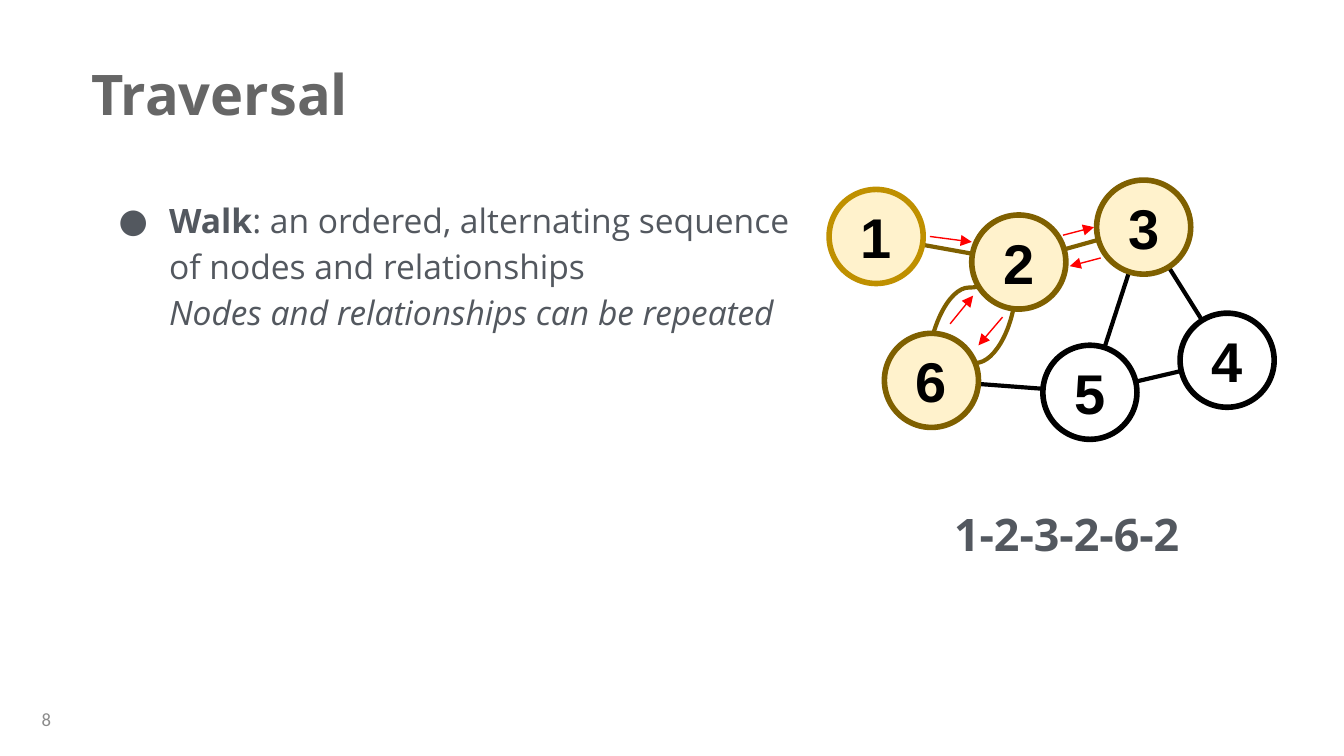
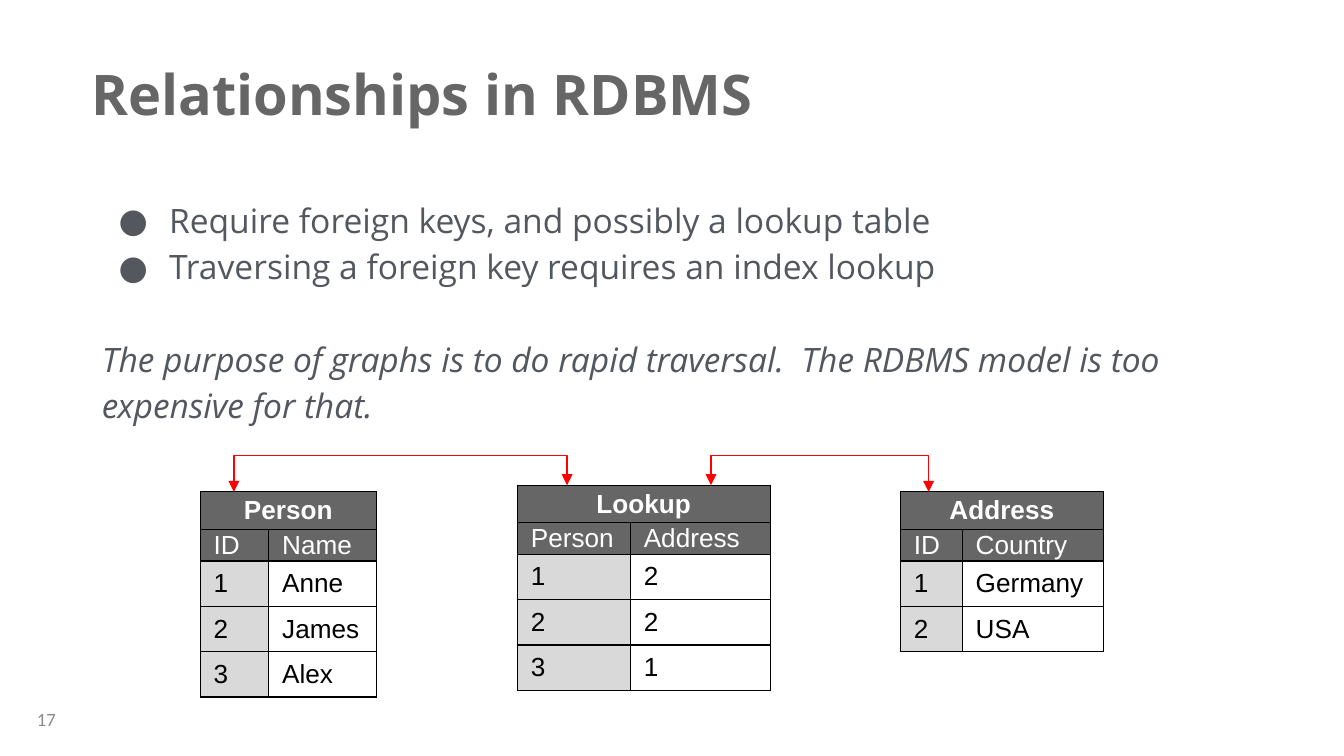
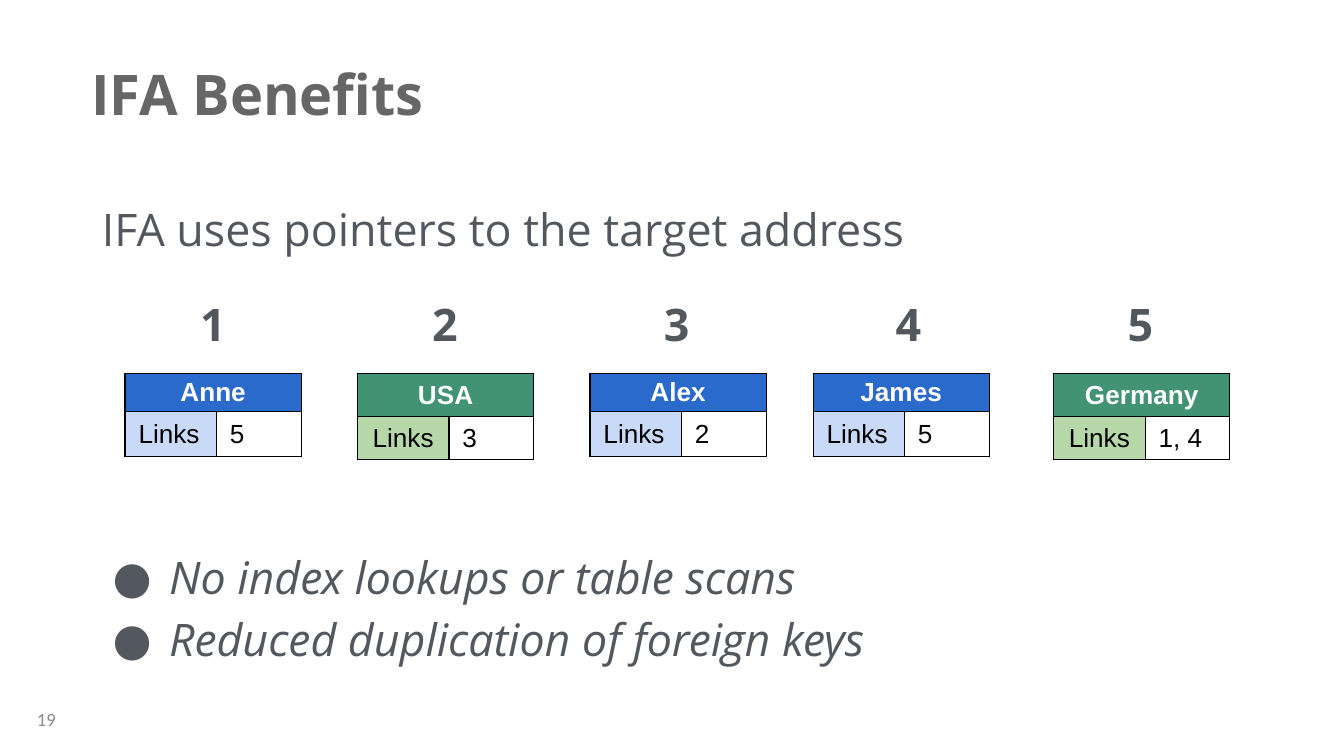
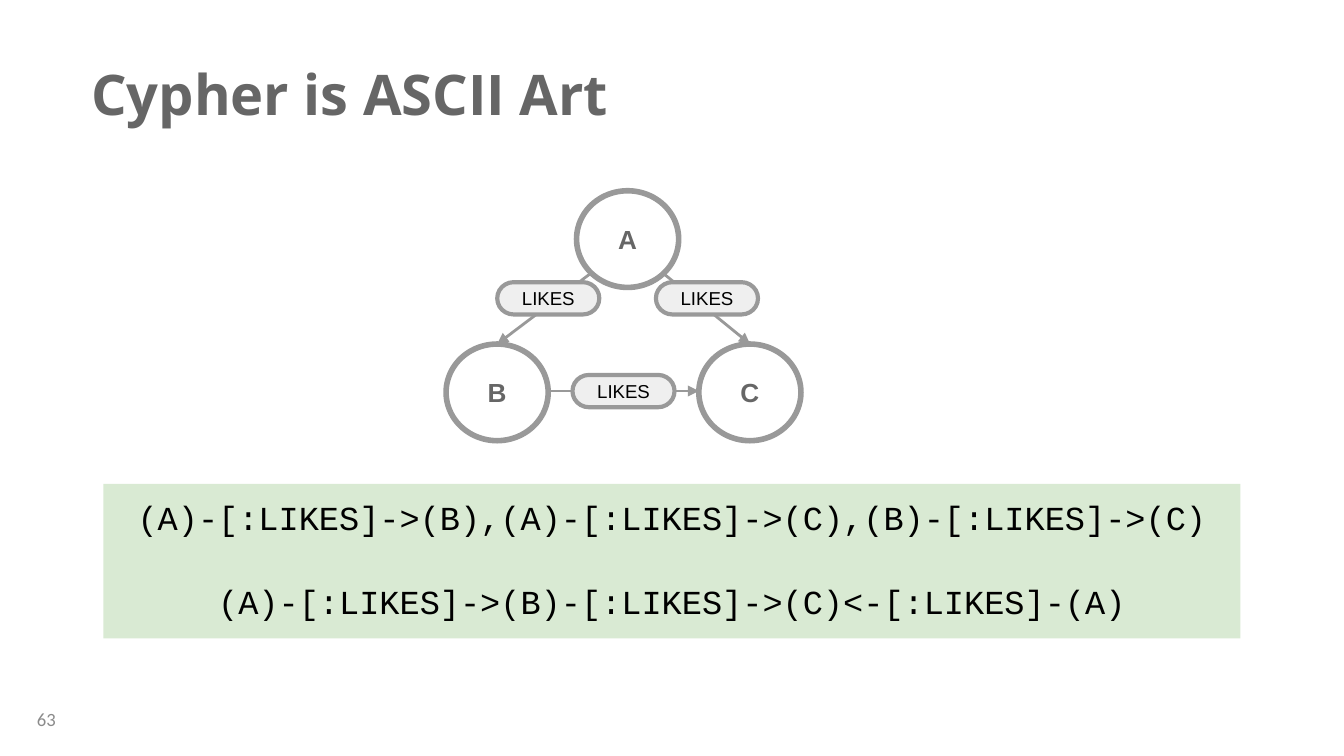
"""Builds four slides on graph traversal, relational lookups, index-free adjacency and Cypher."""
from pptx import Presentation, util as u
from pptx.dml.color import RGBColor
from pptx.enum import shapes, text
from pptx.oxml import ns, xmlchemy

WHITE = RGBColor(0xFF, 0xFF, 0xFF)
BLACK = RGBColor(0, 0, 0)
RED = RGBColor(0xFF, 0, 0)
TITLE_GRAY = RGBColor(0x66, 0x66, 0x66)
BODY_GRAY = RGBColor(0x53, 0x58, 0x5F)
PAGE_GRAY = RGBColor(0x8B, 0x8B, 0x8B)
LINE_GRAY = RGBColor(0x99, 0x99, 0x99)
KEY_GRAY = RGBColor(0xD9, 0xD9, 0xD9)
PILL_GRAY = RGBColor(0xEF, 0xEF, 0xEF)
CREAM = RGBColor(0xFF, 0xF2, 0xCC)
GOLD = RGBColor(0xBF, 0x90, 0x00)
BROWN = RGBColor(0x7F, 0x60, 0x00)
BLUE = RGBColor(0x2A, 0x6A, 0xCB)
PALE_BLUE = RGBColor(0xC9, 0xDA, 0xF8)
GREEN = RGBColor(0x41, 0x93, 0x74)
PALE_GREEN = RGBColor(0xB6, 0xD7, 0xA8)
CODE_GREEN = RGBColor(0xD9, 0xEA, 0xD3)

CENTER, LEFT = text.PP_ALIGN.CENTER, text.PP_ALIGN.LEFT
MIDDLE, TOP = text.MSO_ANCHOR.MIDDLE, text.MSO_ANCHOR.TOP
STRAIGHT, ELBOW, CURVE = (shapes.MSO_CONNECTOR.STRAIGHT, shapes.MSO_CONNECTOR.ELBOW,
                          shapes.MSO_CONNECTOR.CURVE)
OVAL = shapes.MSO_SHAPE.OVAL
PILL = shapes.MSO_SHAPE.FLOWCHART_TERMINATOR
RECTANGLE = shapes.MSO_SHAPE.RECTANGLE

TITLE = dict(name="Open Sans", size=u.Pt(30), bold=True, color=TITLE_GRAY)
PAGE = dict(name="Calibri", size=u.Pt(10), color=PAGE_GRAY)
BODY = dict(name="Open Sans", size=u.Pt(18), color=BODY_GRAY)
LARGE = BODY | dict(size=u.Pt(24))
STRONG = LARGE | dict(bold=True)
NODE = dict(name="Arial", size=u.Pt(30), bold=True, color=BLACK)
LETTER = dict(name="Arial", size=u.Pt(14), bold=True, color=TITLE_GRAY)
LABEL = dict(name="Arial", size=u.Pt(10), color=BLACK)
CELL = dict(name="Arial", size=u.Pt(14), color=BLACK)
CODE = dict(name="Courier New", size=u.Pt(18), color=BLACK)
BOLD, ITALIC = dict(bold=True), dict(italic=True)
BODY_SPACING = 1.15
BREAK = "\n"

NODE_SIZE = 50.4
NODES = {
    "1": (444.2, 101.5, CREAM, GOLD),
    "2": (520.6, 115.2, CREAM, BROWN),
    "3": (587.5, 96.5, CREAM, BROWN),
    "4": (632.2, 167.8, WHITE, BLACK),
    "5": (558.7, 185, WHITE, BLACK),
    "6": (473.8, 178.6, CREAM, BROWN),
}
EDGES = [("2", "1", BROWN), ("2", "3", BROWN), ("4", "3", BLACK),
         ("5", "4", BLACK), ("5", "3", BLACK), ("5", "6", BLACK)]
LOOPS = [((541.4, 140.4), (496.8, 200.9), 154.1), ((501.1, 207.4), (544.3, 151.9), 194.4)]
STEPS = [((498.2, 126.7), (520.6, 129.6)), ((569.5, 126), (586.1, 121.7)),
         ((589.7, 138.2), (573.1, 142.6)), ((537.1, 169.9), (524.2, 185)),
         ((509, 173.5), (521.3, 158.4))]
WALK = [dict(spans=[("Walk", BOLD),
                    (": an ordered, alternating sequence of nodes and relationships", {}),
                    (BREAK, {}),
                    ("Nodes and relationships can be repeated", ITALIC)], hang=27)]

RDBMS = [
    dict(spans=[("Require foreign keys, and possibly a lookup table", {})], hang=27),
    dict(spans=[("Traversing a foreign key requires an index lookup", {})], hang=27),
    dict(spans=[("The purpose of graphs is to do rapid traversal.  The RDBMS model is too "
                 "expensive for that.", ITALIC)], before=24.9),
]
RELATIONS = [
    (107.3, 263.5, (36.7, 57.6), "Person",
     [("ID", "Name"), ("1", "Anne"), ("2", "James"), ("3", "Alex")]),
    (482.4, 263.5, (33.1, 75.6), "Address",
     [("ID", "Country"), ("1", "Germany"), ("2", "USA")]),
    (277.2, 259.9, (60.5, 74.9), "Lookup",
     [("Person", "Address"), ("1", "2"), ("2", "2"), ("3", "1")]),
]
HEADER_HEIGHT, FIELD_HEIGHT, ROW_HEIGHT = 20.2, 13.7, 24.3
KEY_LINKS = [((125.3, 263.5), (303.8, 259.9)), ((380.9, 259.9), (497.5, 263.5))]
KEY_LINK_TOP = 244.1

BENEFITS = [dict(spans=[(line, ITALIC)], hang=30.2) for line in (
    "No index lookups or table scans", "Reduced duplication of foreign keys")]
PERSON_KIND = (BLUE, PALE_BLUE, LEFT, (HEADER_HEIGHT, ROW_HEIGHT))
COUNTRY_KIND = (GREEN, PALE_GREEN, CENTER, (23, 23))
RECORDS = [(67, "Anne", "5", PERSON_KIND), (191.5, "USA", "3", COUNTRY_KIND),
           (316.1, "Alex", "2", PERSON_KIND), (435.6, "James", "5", PERSON_KIND),
           (564.5, "Germany", "1, 4", COUNTRY_KIND)]
RECORD_TOP, RECORD_COLUMNS = 200.2, (49, 45.4)
ADDRESS_LEFT, ADDRESS_STEP = 95, 124.2

PEOPLE = {"A": (308.9, 102.2), "B": (239, 184.3), "C": (374.4, 184.3)}
LIKES = [((355, 146.2), (401.8, 184.3), (351.4, 151.2)),
         ((316.8, 146.2), (266.4, 184.3), (266.4, 151.2)),
         ((293.8, 209.5), (374.4, 209.5), (306.7, 200.9))]
PATTERNS = [
    dict(spans=[("(A)-[:LIKES]->(B),(A)-[:LIKES]->(C),(B)-[:LIKES]->(C)", {})]),
    dict(spans=[("(A)-[:LIKES]->(B)-[:LIKES]->(C)<-[:LIKES]-(A)", {})], before=23),
]


def points(values):
    return [u.Pt(round(value, 2)) for value in values]


def add_xml(parent, tag, **values):
    child = xmlchemy.OxmlElement(tag)
    for name, value in values.items():
        child.set(name, str(value))
    parent.append(child)
    return child


def add_bullet(para, hang):
    properties = para._p.get_or_add_pPr()
    properties.set("marL", str(u.Pt(36)))
    properties.set("indent", str(-u.Pt(hang)))
    add_xml(add_xml(properties, "a:buClr"), "a:srgbClr", val=BODY_GRAY)
    add_xml(properties, "a:buFont", typeface="Open Sans")
    add_xml(properties, "a:buChar", char="●")


def write(frame, content, looks, align=LEFT, spacing=None):
    if isinstance(content, str):
        content = [dict(spans=[(content, {})])]
    for index, entry in enumerate(content):
        para = frame.add_paragraph() if index else frame.paragraphs[0]
        if "hang" in entry:
            add_bullet(para, entry["hang"])
        if "before" in entry:
            para.space_before = u.Pt(entry["before"])
        para.alignment = align
        para.line_spacing = spacing
        for words, extra in entry["spans"]:
            if words == BREAK:
                para.add_line_break()
                continue
            span = para.add_run()
            span.text = words
            for name, value in (looks | extra).items():
                if name == "color":
                    span.font.color.rgb = value
                else:
                    setattr(span.font, name, value)


def set_frame(frame, anchor, inset=7.2):
    values = dict(word_wrap=True, vertical_anchor=anchor, margin_left=u.Pt(7.2),
                  margin_right=u.Pt(7.2), margin_top=u.Pt(inset), margin_bottom=u.Pt(inset))
    for name, value in values.items():
        setattr(frame, name, value)


def add_text(slide, place, content, looks, align=LEFT, spacing=None, anchor=TOP, inset=7.2):
    box = slide.shapes.add_textbox(*points(place))
    set_frame(box.text_frame, anchor, inset)
    write(box.text_frame, content, looks, align, spacing)


def add_body(slide, place, content, looks=BODY, **layout):
    add_text(slide, place, content, looks, spacing=BODY_SPACING, **layout)


def add_box(slide, kind, place, content, looks, fill, line=None, weight=3, anchor=MIDDLE):
    box = slide.shapes.add_shape(kind, *points(place))
    box.shadow.inherit = False
    box.fill.solid()
    box.fill.fore_color.rgb = fill
    if line is None:
        box.line.fill.background()
    else:
        box.line.color.rgb = line
        box.line.width = u.Pt(weight)
    set_frame(box.text_frame, anchor)
    write(box.text_frame, content, looks, CENTER)


def finish_line(connector, color, weight, ends=()):
    connector.line.color.rgb = color
    connector.line.width = u.Pt(weight)
    for end in ends:
        add_xml(connector.line._get_or_add_ln(), f"a:{end}", type="triangle")
    add_xml(connector._element.spPr, "a:effectLst")


def add_line(slide, start, end, color, weight, ends=()):
    connector = slide.shapes.add_connector(STRAIGHT, *points(start + end))
    finish_line(connector, color, weight, ends)


def add_ridge(slide, kind, start, end, ridge, color, weight, ends=()):
    (x1, y1), (x2, y2) = start, end
    length, breadth = abs(y2 - y1), abs(x2 - x1)
    left, top = (x1 + x2 - length) / 2, (y1 + y2 - breadth) / 2
    connector = slide.shapes.add_connector(
        kind, *points((left, top, left + length, top + breadth)))
    properties = connector._element.spPr
    frame = properties.find(ns.qn("a:xfrm"))
    frame.set("rot", str((90 if y2 > y1 else 270) * 60000))
    if (x2 > x1) == (y2 > y1):
        frame.set("flipV", "1")
    geometry = properties.find(ns.qn("a:prstGeom"))
    guides = geometry.find(ns.qn("a:avLst"))
    if guides is None:
        guides = add_xml(geometry, "a:avLst")
    share = round((ridge - y1) / (y2 - y1) * 100000)
    add_xml(guides, "a:gd", name="adj1", fmla=f"val {share}")
    finish_line(connector, color, weight, ends)


def set_borders(cell):
    properties = cell._tc.get_or_add_tcPr()
    for index, side in enumerate("LRTB"):
        border = add_xml(properties, f"a:ln{side}", w=u.Pt(0.75))
        add_xml(add_xml(border, "a:solidFill"), "a:srgbClr", val=BLACK)
        properties.insert(index, border)


def add_grid(slide, left, top, columns, heights, rows):
    place = points((left, top, sum(columns), sum(heights)))
    table = slide.shapes.add_table(len(rows), len(columns), *place).table
    table.first_row = table.horz_banding = False
    for parts, size, sizes in ((table.columns, "width", columns), (table.rows, "height", heights)):
        for part, value in zip(parts, sizes):
            setattr(part, size, u.Pt(value))
    for y, row in enumerate(rows):
        for x, (words, fill, looks, align) in enumerate(row):
            cell = table.cell(y, x)
            set_frame(cell, MIDDLE, 0)
            if fill is None:
                cell.fill.background()
            else:
                cell.fill.solid()
                cell.fill.fore_color.rgb = fill
            set_borders(cell)
            if words:
                write(cell.text_frame, words, looks, align)
    table.cell(0, 0).merge(table.cell(0, 1))


def header_row(words, fill):
    looks = CELL | dict(bold=True, color=WHITE)
    return [(words, fill, looks, CENTER), ("", fill, looks, CENTER)]


def add_slide(deck, title, number):
    slide = deck.slides.add_slide(deck.slide_layouts[6])
    add_text(slide, (7.9, 374.4, 33.8, 21.6), number, PAGE, CENTER, anchor=MIDDLE, inset=0)
    add_text(slide, (41.8, 24.5, 636.5, 43.9), title, TITLE)
    return slide


def build_traversal(deck):
    slide = add_slide(deck, "Traversal", "8")
    for start, end, ridge in LOOPS:
        add_ridge(slide, CURVE, start, end, ridge, BROWN, 2.25)
    centers = {name: (left + NODE_SIZE / 2, top + NODE_SIZE / 2)
               for name, (left, top, _, _) in NODES.items()}
    for first, second, color in EDGES:
        add_line(slide, centers[first], centers[second], color, 2.25)
    add_body(slide, (47.5, 96.5, 396.7, 286.6), WALK)
    for name, (left, top, fill, line) in NODES.items():
        add_box(slide, OVAL, (left, top, NODE_SIZE, NODE_SIZE), name, NODE, fill, line)
    add_body(slide, (504, 259.9, 157.7, 47.5), "1-2-3-2-6-2", STRONG)
    for start, end in STEPS:
        add_line(slide, start, end, RED, 0.75, ["tailEnd"])


def build_rdbms(deck):
    slide = add_slide(deck, "Relationships in RDBMS", "17")
    add_body(slide, (47.5, 96.5, 630.7, 286.6), RDBMS)
    for left, top, columns, name, (fields, *records) in RELATIONS:
        rows = [header_row(name, TITLE_GRAY),
                [(field, TITLE_GRAY, CELL | dict(color=WHITE), LEFT) for field in fields]]
        rows += [[(key, KEY_GRAY, CELL, LEFT), (value, None, CELL, LEFT)]
                 for key, value in records]
        heights = [HEADER_HEIGHT, FIELD_HEIGHT] + [ROW_HEIGHT] * len(records)
        add_grid(slide, left, top, columns, heights, rows)
    for start, end in KEY_LINKS:
        add_ridge(slide, ELBOW, start, end, KEY_LINK_TOP, RED, 0.75, ["headEnd", "tailEnd"])


def build_benefits(deck):
    slide = add_slide(deck, "IFA Benefits", "19")
    add_body(slide, (47.5, 96.5, 630.7, 49.7), "IFA uses pointers to the target address", LARGE)
    add_body(slide, (47.5, 283, 630.7, 91.4), BENEFITS, LARGE)
    for index, (left, name, links, kind) in enumerate(RECORDS):
        dark, pale, align, heights = kind
        rows = [header_row(name, dark),
                [("Links", pale, CELL, align), (links, None, CELL, LEFT)]]
        add_grid(slide, left, RECORD_TOP, RECORD_COLUMNS, heights, rows)
        add_body(slide, (ADDRESS_LEFT + index * ADDRESS_STEP, 146.2, 38.2, 49.7),
                 str(index + 1), STRONG, align=CENTER, anchor=MIDDLE)


def build_cypher(deck):
    slide = add_slide(deck, "Cypher is ASCII Art", "63")
    for name, corner in PEOPLE.items():
        add_box(slide, OVAL, corner + (54.7, 51.8), name, LETTER, WHITE, LINE_GRAY)
    for start, end, _ in LIKES:
        add_line(slide, start, end, LINE_GRAY, 1.5, ["tailEnd"])
    for _, _, corner in LIKES:
        add_box(slide, PILL, corner + (54.7, 17.3), "LIKES", LABEL, PILL_GRAY, LINE_GRAY, 2.25)
    add_box(slide, RECTANGLE, (55.4, 259.2, 609.1, 82.8), PATTERNS, CODE, CODE_GREEN, anchor=TOP)


def main():
    deck = Presentation()
    deck.slide_width, deck.slide_height = u.Pt(720), u.Pt(405)
    for build in (build_traversal, build_rdbms, build_benefits, build_cypher):
        build(deck)
    deck.save("out.pptx")


if __name__ == "__main__":
    main()
